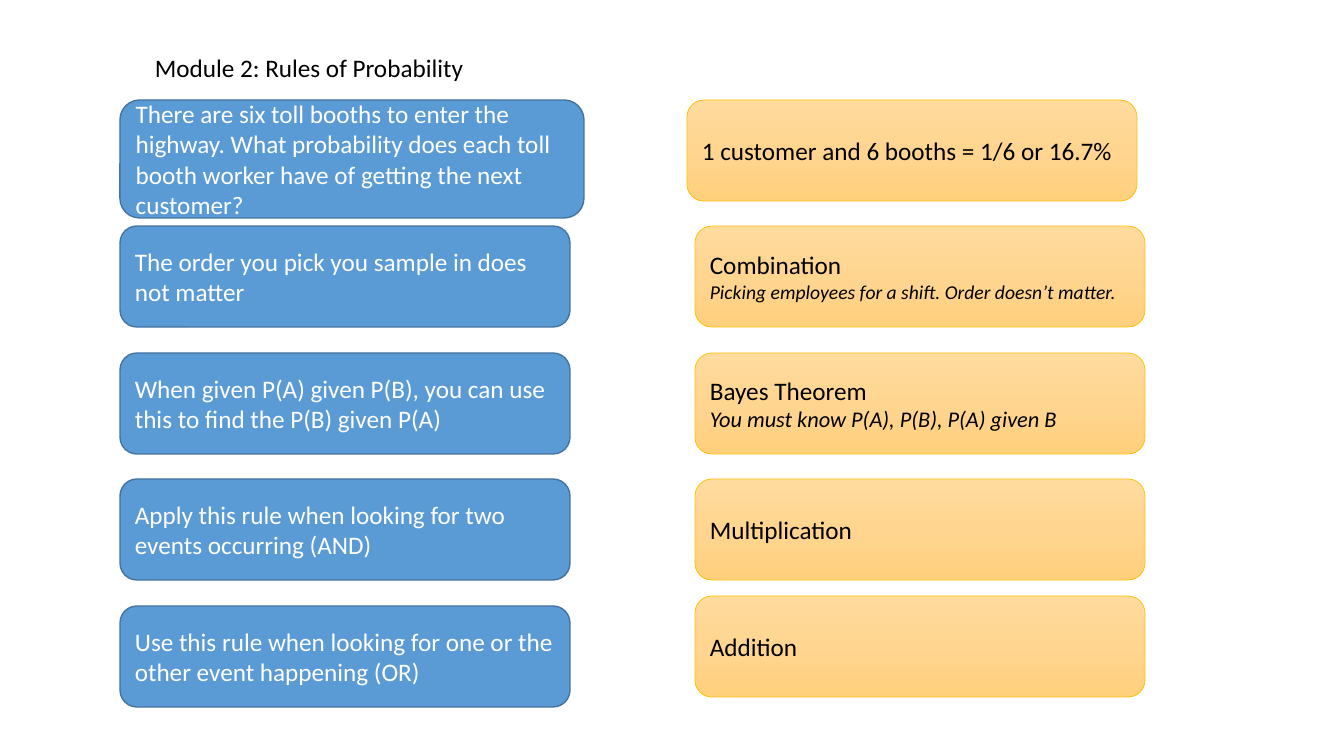
import copy

import pptx
import pptx.dml.color
import pptx.enum.shapes
import pptx.enum.text
import pptx.oxml.ns
import pptx.util

PX = 914400 / 100.8
COLORS = {
    "blue": "5B9BD5", "navy": "43739E", "gold": "FFC000",
    "white": "FFFFFF", "black": "000000",
    "top": "FFDB9E", "mid": "FFD590", "low": "FFD07C",
}
ASK_LEFT, REPLY_LEFT = 120, 695
FIRST_TOP, PITCH = 100, 126.4
SIZE = (450, 101)

# Each card: lines of (text, format), then any changes to its usual box
MAIN = {"size": 18}
ROWS = [
    (([("There are six toll booths to enter the highway. What probability does "
        "each toll booth worker have of getting the next customer?", MAIN)],
      {"width": 464, "height": 118}),
     ([("1 customer and 6 booths = 1/6 or 16.7%", MAIN)], {"left": 687})),
    (([("The order you pick you sample in does not matter", MAIN)], {}),
     ([("Combination", MAIN),
       ("Picking employees for a shift. Order doesn’t matter.",
        {"size": 14, "italic": True})], {})),
    (([("When given P(A) given P(B), you can use this to find the P(B) given P(A)",
        MAIN)], {}),
     ([("Bayes Theorem", MAIN),
       ("You must know P(A), P(B), P(A) given B",
        {"size": 16, "italic": True})], {})),
    (([("Apply this rule when looking for two events occurring (AND)", MAIN)], {}),
     ([("Multiplication", MAIN)], {})),
    (([("Use this rule when looking for one or the other event happening (OR)",
        MAIN)], {}),
     ([("Addition", MAIN)], {"top": 596})),
]


def emu(px):
    return pptx.util.Emu(round(px * PX))


def rgb(name):
    return pptx.dml.color.RGBColor.from_string(COLORS[name])


def write(frame, lines, color):
    for i, (text, form) in enumerate(lines):
        para = frame.add_paragraph() if i else frame.paragraphs[0]
        para.alignment = pptx.enum.text.PP_ALIGN.LEFT
        run = para.add_run()
        run.text = text
        run.font.color.rgb = rgb(color)
        form = {"name": "Calibri", **form, "size": pptx.util.Pt(form["size"])}
        for key, value in form.items():
            setattr(run.font, key, value)


def shade(shape, names):
    """Fill from top to bottom with three evenly spaced colours."""
    shape.fill.gradient()
    shape.fill.gradient_angle = 270
    stops = shape._element.spPr.find(".//" + pptx.oxml.ns.qn("a:gsLst"))
    stops.insert(1, copy.deepcopy(stops[0]))
    for i, (stop, name) in enumerate(zip(shape.fill.gradient_stops, names)):
        stop.position = i / 2
        stop.color.rgb = rgb(name)


def add_card(slide, box, lines, color, edge, weight):
    shape = slide.shapes.add_shape(
        pptx.enum.shapes.MSO_SHAPE.ROUNDED_RECTANGLE,
        *(emu(box[key]) for key in ("left", "top", "width", "height")))
    shape.shadow.inherit = False
    shape.line.color.rgb = rgb(edge)
    shape.line.width = pptx.util.Pt(weight)
    shape.text_frame.word_wrap = True
    shape.text_frame.vertical_anchor = pptx.enum.text.MSO_ANCHOR.MIDDLE
    write(shape.text_frame, lines, color)
    return shape


def add_ask(slide, box, lines):
    card = add_card(slide, box, lines, "white", "navy", 1)
    card.fill.solid()
    card.fill.fore_color.rgb = rgb("blue")


def add_reply(slide, box, lines):
    card = add_card(slide, box, lines, "black", "gold", 0.5)
    shade(card, ("top", "mid", "low"))


def add_title(slide, text):
    box = slide.shapes.add_textbox(emu(145), emu(47), emu(333), emu(40))
    box.text_frame.word_wrap = False
    box.text_frame.auto_size = pptx.enum.text.MSO_AUTO_SIZE.SHAPE_TO_FIT_TEXT
    write(box.text_frame, [(text, MAIN)], "black")


def main():
    deck = pptx.Presentation()
    deck.slide_width, deck.slide_height = emu(1344), emu(756)
    slide = deck.slides.add_slide(deck.slide_layouts[6])
    add_title(slide, "Module 2: Rules of Probability")
    for i, (ask, reply) in enumerate(ROWS):
        base = {"top": round(FIRST_TOP + i * PITCH),
                "width": SIZE[0], "height": SIZE[1]}
        for add, left, (lines, change) in ((add_ask, ASK_LEFT, ask),
                                           (add_reply, REPLY_LEFT, reply)):
            add(slide, {"left": left, **base, **change}, lines)
    deck.save("out.pptx")


if __name__ == "__main__":
    main()
